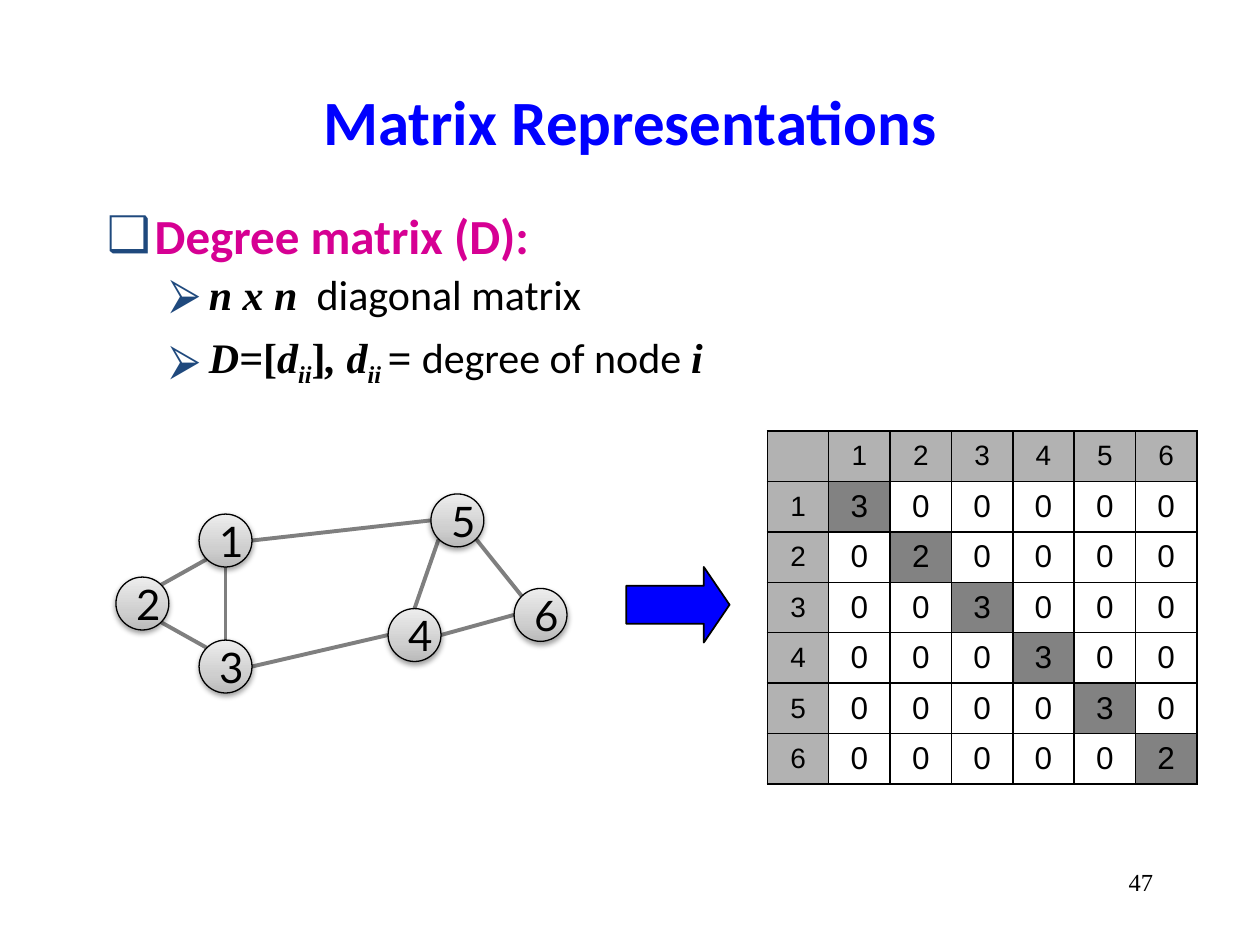
from math import cos, radians, sin

from lxml.etree import SubElement
from pptx import Presentation
from pptx.dml.color import RGBColor
from pptx.enum.shapes import MSO_CONNECTOR, MSO_SHAPE
from pptx.enum.text import MSO_ANCHOR, PP_ALIGN
from pptx.oxml import parse_xml
from pptx.oxml.ns import nsdecls, qn
from pptx.util import Inches, Pt

BLACK = RGBColor(0x00, 0x00, 0x00)
BLUE = RGBColor(0x00, 0x00, 0xFF)
MAGENTA = RGBColor(0xD6, 0x00, 0x93)
NAVY = RGBColor(0x1F, 0x49, 0x7D)
EDGE_GRAY = RGBColor(0x7F, 0x7F, 0x7F)
HEADER_GRAY = RGBColor(0xB2, 0xB2, 0xB2)
NODE_STOPS = [(0, RGBColor(0xBA, 0xBA, 0xBA)), (35, RGBColor(0xCF, 0xCF, 0xCF)),
              (100, RGBColor(0xED, 0xED, 0xED))]

SERIF, SANS = "Times New Roman", "Calibri"

# Node centres, relative to the graph box
NODES = {1: (0.87, 0.37), 3: (0.87, 1.37), 2: (0.21, 0.87),
         5: (2.71, 0.21), 4: (2.37, 1.12), 6: (3.37, 0.96)}
NODE_SIZE = 0.42

# Each edge: node and clockwise angle from the right, at both ends
EDGES = [(1, 135, 2, 315), (2, 45, 3, 225), (1, 90, 3, 270), (1, 0, 5, 180),
         (3, 0, 4, 180), (5, 45, 6, 225), (4, 0, 6, 180), (5, 135, 4, 270)]


def add_run(p, text, size, font, color=BLACK, bold=False, italic=False, base=0):
    r = p.add_run()
    r.text = text
    r.font.size = Pt(size)
    r.font.name = font
    r.font.color.rgb = color
    r.font.bold = bold
    r.font.italic = italic
    if base:
        r.font._element.set("baseline", str(base * 1000))


def add_text_frame(s, x, y, w, h, anchor=MSO_ANCHOR.TOP):
    tf = s.shapes.add_textbox(Inches(x), Inches(y), Inches(w), Inches(h)).text_frame
    tf.word_wrap = True
    tf.vertical_anchor = anchor
    return tf


def add_bullet(p, char, margin, indent):
    pPr = p._p.get_or_add_pPr()
    pPr.set("marL", str(Inches(margin)))
    pPr.set("indent", str(Inches(indent)))
    SubElement(SubElement(pPr, qn("a:buClr")), qn("a:srgbClr"), val=str(NAVY))
    SubElement(pPr, qn("a:buFont"), typeface="Arial")
    SubElement(pPr, qn("a:buChar"), char=char)


def add_line_of_text(s, x, y, w, h, text, size, font, color, bold, align, anchor):
    p = add_text_frame(s, x, y, w, h, anchor).paragraphs[0]
    p.alignment = align
    add_run(p, text, size, font, color, bold)


def add_definition(s, x, y, w, h):
    tf = add_text_frame(s, x, y, w, h)
    p = tf.paragraphs[0]
    add_bullet(p, "❑", 0.38, -0.38)
    add_run(p, "Degree matrix (D):", 28, SANS, MAGENTA, bold=True)

    # Sub-points: text and style of each run
    math, upright = dict(font=SERIF, bold=True, italic=True), dict(font=SERIF, bold=True)
    sub, plain = dict(math, base=-25), dict(font=SANS)
    points = [
        (2.4, [("n x n", math), ("  diagonal matrix", plain)]),
        (7.2, [("D=", math), ("[", upright), ("d", math), ("ii", sub), ("]", upright),
               (", d", math), ("ii ", sub), ("= ", math),
               ("degree of node ", plain), ("i", math)]),
    ]
    for space, runs in points:
        p = tf.add_paragraph()
        p.level = 1
        add_bullet(p, "⮚", 0.81, -0.31)
        p.space_before = Pt(space)
        for text, style in runs:
            add_run(p, text, 24, **style)


def add_arrow(s, x, y, w, h):
    sp = s.shapes.add_shape(MSO_SHAPE.RIGHT_ARROW, Inches(x), Inches(y), Inches(w), Inches(h))
    sp.shadow.inherit = False
    sp.adjustments[0], sp.adjustments[1] = 0.5, 0.34
    sp.fill.solid()
    sp.fill.fore_color.rgb = BLUE
    sp.line.color.rgb = BLACK
    sp.line.width = Pt(1)


def style_node(sp):
    sp.line.color.rgb = BLACK
    sp.line.width = Pt(0.75)
    stops = "".join(f'<a:gs pos="{pos * 1000}"><a:srgbClr val="{color}"/></a:gs>'
                    for pos, color in NODE_STOPS)
    spPr = sp._element.spPr
    spPr.find(qn("a:prstGeom")).addnext(parse_xml(
        f'<a:gradFill {nsdecls("a")} rotWithShape="1"><a:gsLst>{stops}</a:gsLst>'
        '<a:lin ang="16200000" scaled="1"/></a:gradFill>'))
    spPr.append(parse_xml(
        f'<a:effectLst {nsdecls("a")}><a:outerShdw blurRad="{Pt(3.1)}" dist="{Pt(1.6)}" '
        f'dir="5400000" rotWithShape="0"><a:srgbClr val="{BLACK}">'
        '<a:alpha val="37000"/></a:srgbClr></a:outerShdw></a:effectLst>'))


def add_graph(s, x, y):
    radius = NODE_SIZE / 2

    def rim(node, angle):
        cx, cy = NODES[node]
        return (Inches(x + cx + radius * cos(radians(angle))),
                Inches(y + cy + radius * sin(radians(angle))))

    # Edges
    for start, start_angle, end, end_angle in EDGES:
        line = s.shapes.add_connector(MSO_CONNECTOR.STRAIGHT,
                                      *rim(start, start_angle), *rim(end, end_angle))
        line.line.color.rgb = EDGE_GRAY
        line.line.width = Pt(2.25)
        SubElement(line._element.spPr, qn("a:effectLst"))

    # Nodes
    for node, (cx, cy) in NODES.items():
        sp = s.shapes.add_shape(MSO_SHAPE.OVAL, Inches(x + cx - radius), Inches(y + cy - radius),
                                Inches(NODE_SIZE), Inches(NODE_SIZE))
        style_node(sp)
        tf = sp.text_frame
        tf.vertical_anchor = MSO_ANCHOR.MIDDLE
        p = tf.paragraphs[0]
        p.alignment = PP_ALIGN.CENTER
        add_run(p, str(node), 24, "Lato")


def add_cell_borders(cell):
    tcPr = cell._tc.get_or_add_tcPr()
    for i, side in enumerate(("lnL", "lnR", "lnT", "lnB")):
        tcPr.insert(i, parse_xml(
            f'<a:{side} {nsdecls("a")} w="{Pt(1)}"><a:solidFill>'
            f'<a:srgbClr val="{BLACK}"/></a:solidFill></a:{side}>'))


def add_degree_matrix(s, x, y, w, h):
    degrees = [sum(node in (a, b) for a, _, b, _ in EDGES) for node in sorted(NODES)]
    n = len(degrees) + 1
    table = s.shapes.add_table(n, n, Inches(x), Inches(y), Inches(w), Inches(h)).table
    table.first_row = table.horz_banding = False
    for line in range(n):
        table.columns[line].width = Inches(w / n)
        table.rows[line].height = Inches(h / n)

    for row in range(n):
        for col in range(n):
            cell = table.cell(row, col)
            header, diagonal = row == 0 or col == 0, row == col
            cell.vertical_anchor = MSO_ANCHOR.MIDDLE
            cell.margin_left = cell.margin_right = Inches(0.08 if header else 0.1)
            if header or diagonal:
                cell.fill.solid()
                cell.fill.fore_color.rgb = HEADER_GRAY if header else BLACK
            else:
                cell.fill.background()
            if diagonal and not header:
                color = cell._tc.tcPr.find(".//" + qn("a:srgbClr"))
                SubElement(color, qn("a:alpha"), val="49000")
            add_cell_borders(cell)
            if row or col:
                value = row + col if header else degrees[row - 1] if diagonal else 0
                p = cell.text_frame.paragraphs[0]
                p.alignment = PP_ALIGN.CENTER
                add_run(p, str(value), 16 if header else 18, "Arial")


def main():
    prs = Presentation()
    prs.slide_width, prs.slide_height = Inches(10), Inches(7.5)
    s = prs.slides.add_slide(prs.slide_layouts[6])
    add_line_of_text(s, 0.75, 0.33, 8.5, 1.25, "Matrix Representations", 36, SANS,
                     BLUE, True, PP_ALIGN.CENTER, MSO_ANCHOR.MIDDLE)
    add_definition(s, 0.75, 1.58, 8.5, 5.08)
    add_line_of_text(s, 7.17, 6.83, 2.08, 0.5, "47", 14, SERIF,
                     BLACK, False, PP_ALIGN.RIGHT, MSO_ANCHOR.TOP)
    add_arrow(s, 4.97, 4.5, 0.82, 0.6)
    add_graph(s, 0.92, 3.92)
    add_degree_matrix(s, 6.09, 3.42, 3.41, 2.71)
    prs.save("out.pptx")


if __name__ == "__main__":
    main()
